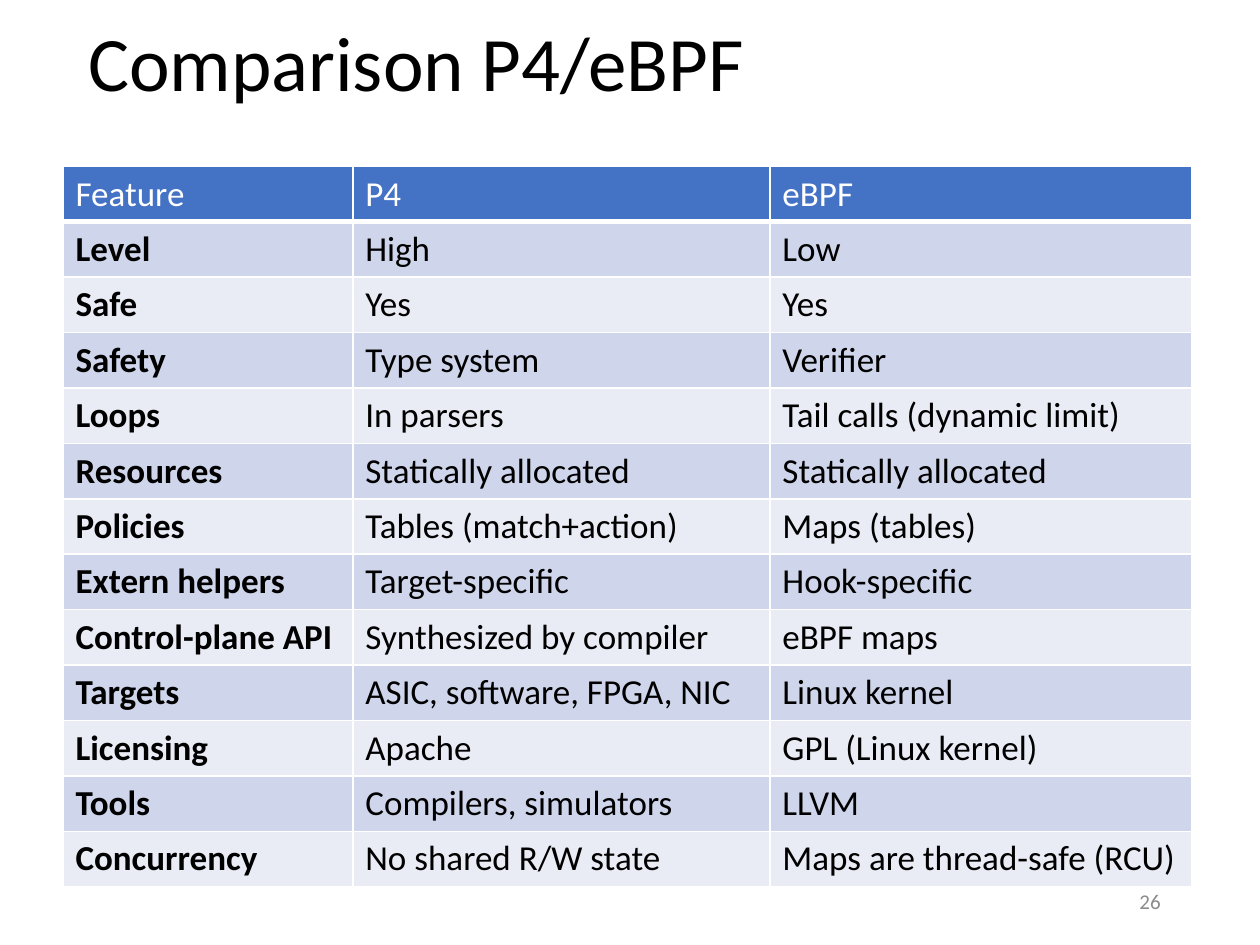
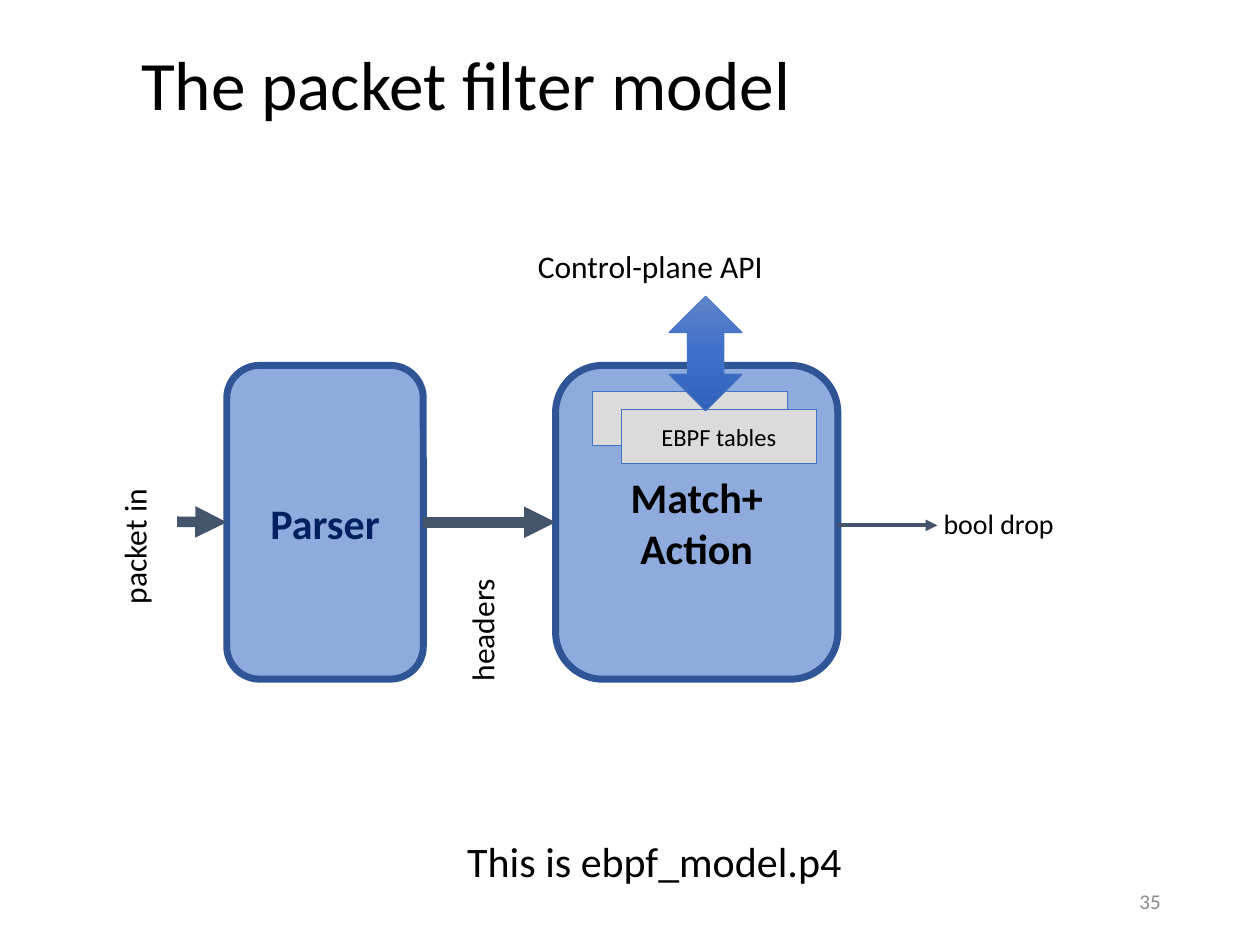
"""Build two slides: a P4/eBPF comparison table and the packet filter model diagram."""
import copy

import pptx
import pptx.dml.color
import pptx.enum.shapes
import pptx.enum.text
import pptx.oxml.ns
import pptx.util
from lxml import etree

Inches = pptx.util.Inches
Pt = pptx.util.Pt
RGBColor = pptx.dml.color.RGBColor
Shape = pptx.enum.shapes.MSO_SHAPE
Connector = pptx.enum.shapes.MSO_CONNECTOR
Align = pptx.enum.text.PP_ALIGN
Anchor = pptx.enum.text.MSO_ANCHOR
qn = pptx.oxml.ns.qn

FONT = "Calibri"
BLACK = RGBColor(0x00, 0x00, 0x00)
WHITE = RGBColor(0xFF, 0xFF, 0xFF)
GREY = RGBColor(0x8C, 0x8C, 0x8C)
BLUE = RGBColor(0x44, 0x72, 0xC4)
BAND_DARK = RGBColor(0xCF, 0xD5, 0xEA)
BAND_LIGHT = RGBColor(0xE9, 0xEB, 0xF5)
BLOCK_FILL = RGBColor(0x8F, 0xAA, 0xDC)
BLOCK_EDGE = RGBColor(0x2F, 0x55, 0x97)
NAVY = RGBColor(0x00, 0x20, 0x60)
SLATE = RGBColor(0x44, 0x54, 0x6A)
TABLE_GREY = RGBColor(0xDB, 0xDB, 0xDB)
API_GRADIENT = [
    (0, RGBColor(0x61, 0x83, 0xCB)),
    (0.5, RGBColor(0x3E, 0x70, 0xCA)),
    (1, RGBColor(0x30, 0x62, 0xBB)),
]


def write(frame, lines, size, color=BLACK, bold=False, align=Align.LEFT):
    for index, line in enumerate(lines):
        paragraph = frame.add_paragraph() if index else frame.paragraphs[0]
        paragraph.alignment = align
        run = paragraph.add_run()
        run.text = line
        run.font.name = FONT
        run.font.size = Pt(size)
        run.font.bold = bold
        run.font.color.rgb = color


def draw_arrow(shapes, kind, start, end, width):
    arrow = shapes.add_connector(kind, *map(Inches, start + end))
    arrow.line.color.rgb = SLATE
    arrow.line.width = Pt(width)
    etree.SubElement(arrow.line._get_or_add_ln(), qn("a:tailEnd"), type="triangle")
    etree.SubElement(arrow._element.spPr, qn("a:effectLst"))
    return arrow


deck = pptx.Presentation()
deck.slide_width = Inches(10)
deck.slide_height = Inches(7.5)

slides = []
for heading, box, size, number in [
    ("Comparison P4/eBPF", (0.6, 0.07, 8.62, 0.92), 44, "26"),
    ("The packet filter model", (1.02, 0.36, 6.75, 0.68), 39.6, "35"),
]:
    slide = deck.slides.add_slide(deck.slide_layouts[5])
    title = slide.shapes.title
    title.left, title.top, title.width, title.height = map(Inches, box)
    title.text_frame.auto_size = pptx.enum.text.MSO_AUTO_SIZE.NONE
    title.text_frame.vertical_anchor = Anchor.MIDDLE
    write(title.text_frame, [heading], size)
    title.text_frame.paragraphs[0].line_spacing = 0.9
    page_number = slide.shapes.add_textbox(Inches(7.06), Inches(6.95), Inches(2.25), Inches(0.4))
    page_number.text_frame.word_wrap = True
    page_number.text_frame.vertical_anchor = Anchor.MIDDLE
    write(page_number.text_frame, [number], 12, GREY, align=Align.RIGHT)
    slides.append(slide)
comparison, model = slides

features = [
    ("Feature", "P4", "eBPF"),
    ("Level", "High", "Low"),
    ("Safe", "Yes", "Yes"),
    ("Safety", "Type system", "Verifier"),
    ("Loops", "In parsers", "Tail calls (dynamic limit)"),
    ("Resources", "Statically allocated", "Statically allocated"),
    ("Policies", "Tables (match+action)", "Maps (tables)"),
    ("Extern helpers", "Target-specific", "Hook-specific"),
    ("Control-plane API", "Synthesized by compiler", "eBPF maps"),
    ("Targets", "ASIC, software, FPGA, NIC", "Linux kernel"),
    ("Licensing", "Apache", "GPL (Linux kernel)"),
    ("Tools", "Compilers, simulators", "LLVM"),
    ("Concurrency", "No shared R/W state", "Maps are thread-safe (RCU)"),
]
feature_table = comparison.shapes.add_table(
    len(features), 3, Inches(0.5), Inches(1.32), Inches(8.96), Inches(5.72)
).table
for column, width in zip(feature_table.columns, (2.3, 3.31, 3.35)):
    column.width = Inches(width)
for row, values in enumerate(features):
    header = row == 0
    for col, value in enumerate(values):
        cell = feature_table.cell(row, col)
        write(cell.text_frame, [value], 20, WHITE if header else BLACK, col == 0 and not header)
        properties = cell._tc.get_or_add_tcPr()
        for side in ("lnL", "lnR", "lnT", "lnB"):
            points = 3 if header and side == "lnB" else 1
            border = etree.SubElement(properties, qn("a:" + side), w=str(Pt(points)))
            paint = etree.SubElement(border, qn("a:solidFill"))
            etree.SubElement(paint, qn("a:srgbClr"), val=str(WHITE))
        cell.fill.solid()
        cell.fill.fore_color.rgb = BLUE if header else BAND_DARK if row % 2 else BAND_LIGHT

blocks = []
for lines, box, preset, fill, edge, weight, size, color, bold in [
    (["Parser"], (1.8, 2.9, 1.56, 2.49), Shape.ROUNDED_RECTANGLE,
     BLOCK_FILL, BLOCK_EDGE, 4, 24, NAVY, True),
    (["Match+", "Action"], (4.41, 2.9, 2.24, 2.49), Shape.ROUNDED_RECTANGLE,
     BLOCK_FILL, BLOCK_EDGE, 4, 24, BLACK, True),
    ([], (4.7, 3.11, 1.55, 0.43), Shape.RECTANGLE,
     TABLE_GREY, BLUE, 0.5, 14, BLACK, False),
    (["EBPF tables"], (4.93, 3.25, 1.55, 0.43), Shape.RECTANGLE,
     TABLE_GREY, BLUE, 0.5, 14, BLACK, False),
    ([], (5.31, 2.35, 0.58, 0.91), Shape.UP_DOWN_ARROW,
     BLUE, BLUE, 0.5, 14, BLACK, False),
]:
    block = model.shapes.add_shape(preset, *map(Inches, box))
    block.shadow.inherit = False
    block.fill.solid()
    block.fill.fore_color.rgb = fill
    block.line.color.rgb = edge
    block.line.width = Pt(weight)
    write(block.text_frame, lines, size, color, bold, Align.CENTER)
    blocks.append(block)
parser, match_action, _, _, api_arrow = blocks

api_arrow.fill.gradient()
api_arrow.fill.gradient_angle = 270
first_stop = api_arrow._element.spPr.find(".//" + qn("a:gs"))
first_stop.addnext(copy.deepcopy(first_stop))
for stop, (position, color) in zip(api_arrow.fill.gradient_stops, API_GRADIENT):
    stop.position = position
    stop.color.rgb = color

headers_arrow = draw_arrow(model.shapes, Connector.STRAIGHT, (3.36, 4.15), (4.41, 4.15), 6)
headers_arrow.begin_connect(parser, 3)
headers_arrow.end_connect(match_action, 1)
packet_arrow = draw_arrow(model.shapes, Connector.STRAIGHT, (1.31, 4.14), (1.8, 4.15), 6)
packet_arrow.end_connect(parser, 1)
draw_arrow(model.shapes, Connector.ELBOW, (6.64, 4.17), (7.44, 4.17), 2.25)

for text, box, rotation, size, wrap in [
    ("packet in", (0.33, 3.82, 1.61, 0.54), 270, 18, True),
    ("Control-plane API", (4.17, 1.91, 2.82, 0.54), 0, 18, True),
    ("bool drop", (7.39, 3.97, 1.6, 0.49), 0, 16, True),
    ("headers", (3.21, 4.55, 1.37, 0.54), 270, 18, True),
    ("This is ebpf_model.p4", (3.61, 6.58, 3.2, 0.5), 0, 24, False),
]:
    label = model.shapes.add_textbox(*map(Inches, box))
    label.rotation = rotation
    label.text_frame.word_wrap = wrap
    write(label.text_frame, [text], size)
    if text == "packet in":
        label.fill.solid()
        label.fill.fore_color.rgb = WHITE
    if text == "Control-plane API":
        label.text_frame.paragraphs[0].alignment = Align.LEFT

deck.save("out.pptx")
